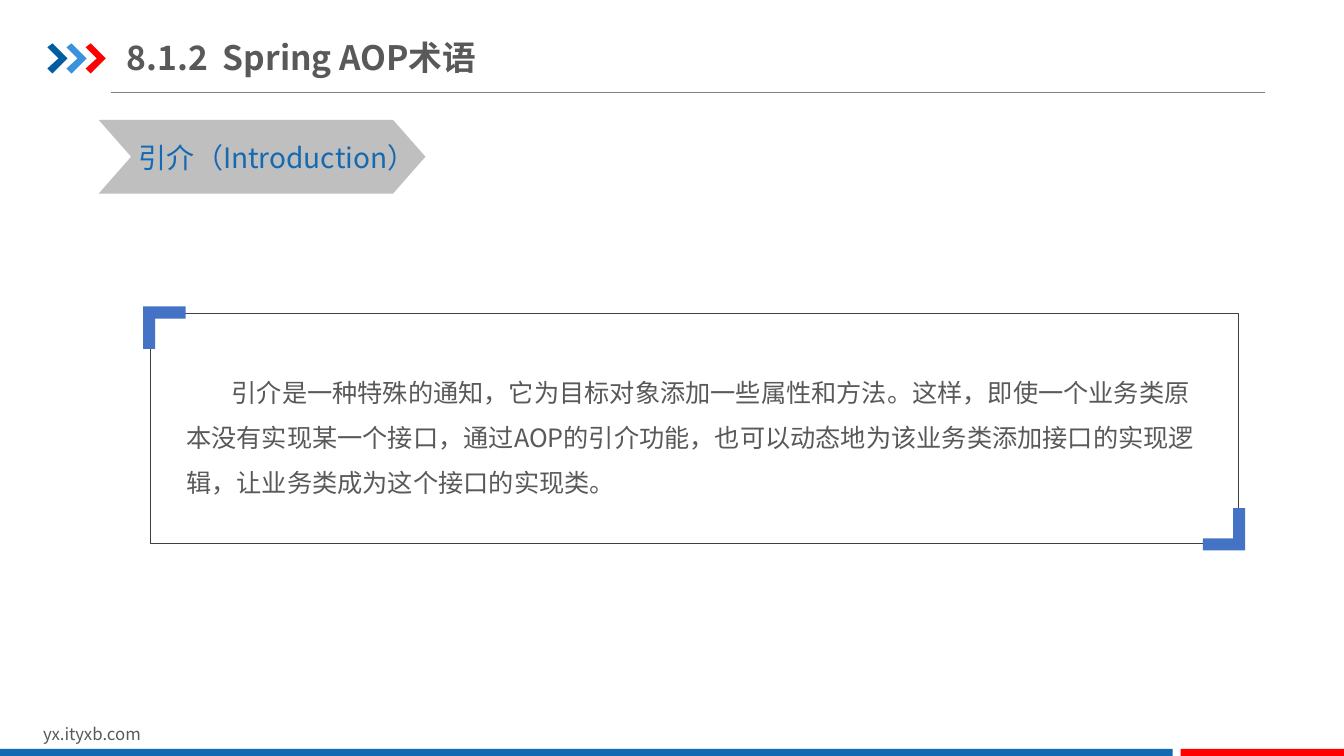
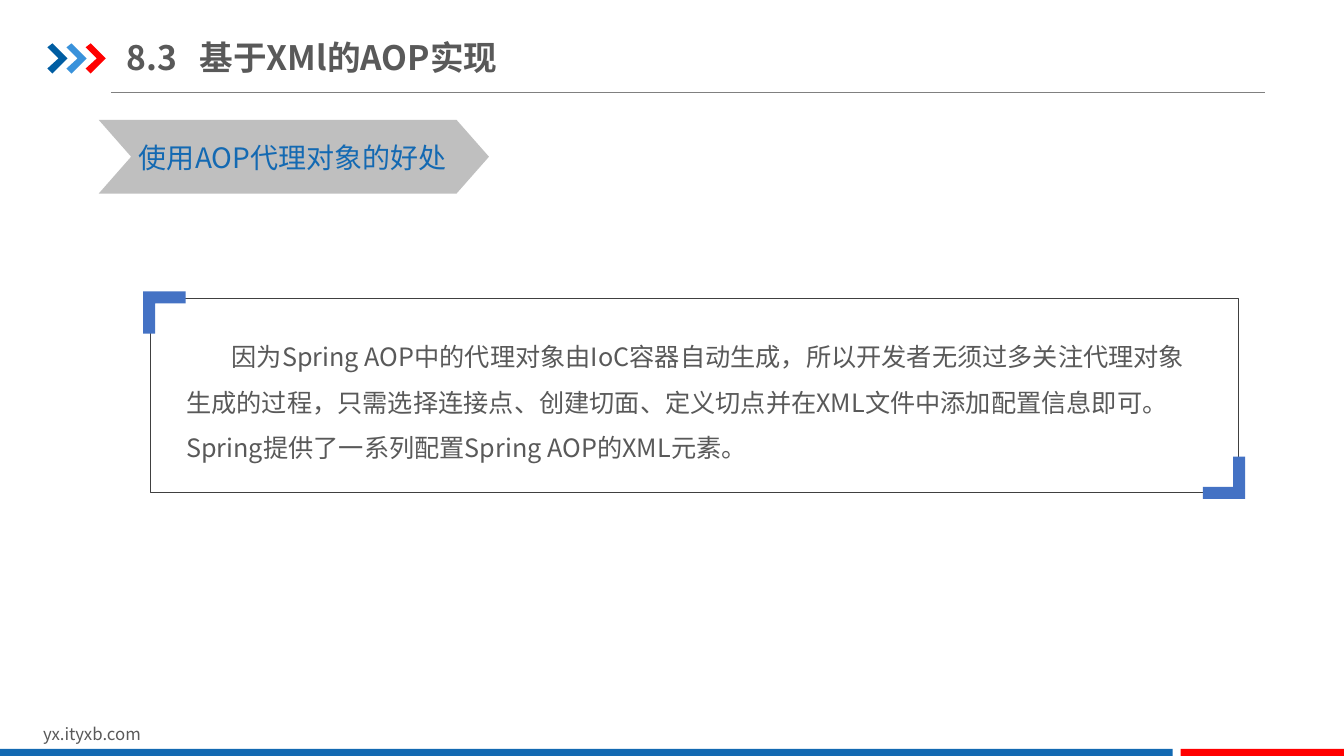
"""Build two Spring AOP lecture slides with a shared header and footer."""
from dataclasses import dataclass

from lxml.etree import SubElement
from pptx import Presentation
from pptx.dml.color import RGBColor
from pptx.enum.shapes import MSO_CONNECTOR, MSO_SHAPE
from pptx.enum.text import MSO_ANCHOR
from pptx.oxml.ns import qn
from pptx.shapes.autoshape import Shape
from pptx.slide import Slide
from pptx.text.text import TextFrame
from pptx.util import Inches, Pt


@dataclass(frozen=True)
class Theme:
    font: str = "Noto Sans CJK SC"
    text: str = "595959"
    blue: str = "1369B2"
    red: str = "FF0000"
    rule: str = "808080"
    tag: str = "BFBFBF"
    frame: str = "404040"
    bracket: str = "4472C4"
    arrows: tuple[str, ...] = ("005DA2", "3992DB", "FF0000")
    title_size: int = 24
    tag_size: int = 20
    body_size: int = 18
    footer_size: int = 12


@dataclass(frozen=True)
class Box:
    left: float
    top: float
    width: float
    height: float

    @property
    def right(self) -> float:
        return self.left + self.width

    @property
    def bottom(self) -> float:
        return self.top + self.height

    def emu(self) -> tuple[int, ...]:
        return tuple(Inches(v) for v in (self.left, self.top, self.width, self.height))


@dataclass(frozen=True)
class Para:
    text: str
    indent: float = 0


@dataclass(frozen=True)
class Topic:
    title: str
    title_tab: float
    tag: str
    tag_width: float
    frame: Box
    body: Box
    paras: tuple[Para, ...]


THEME = Theme()
FOOTER = "yx.ityxb.com"
ARROW = ((0, 0.04), (0.05, 0), (0.2, 0.15), (0.05, 0.3), (0, 0.25), (0.11, 0.15))
ARROW_LEFT, ARROW_TOP, ARROW_STEP = 0.47, 0.43, 0.19
BRACKET = ((0, 0), (0.42, 0), (0.42, 0.12), (0.12, 0.12), (0.12, 0.42), (0, 0.42))
BRACKET_OFFSET = 0.07
TOPICS = (
    Topic(
        "8.1.2\tSpring AOP术语", 0.95, "引介（Introduction）", 3.24,
        Box(1.49, 3.11, 10.79, 2.28), Box(1.75, 3.54, 10.3, 1.5),
        (Para("引介是一种特殊的通知，它为目标对象添加一些属性和方法。这样，即使一个业务类原本没有实现某一个接口，"
              "通过AOP的引介功能，也可以动态地为该业务类添加接口的实现逻辑，让业务类成为这个接口的实现类。", 0.45),),
    ),
    Topic(
        "8.3\t基于XMl的AOP实现", 0.72, "使用AOP代理对象的好处", 3.87,
        Box(1.49, 2.96, 10.79, 1.92), Box(1.75, 3.19, 10.3, 1.5),
        (Para("因为Spring AOP中的代理对象由IoC容器自动生成，所以开发者无须过多关注代理对象生成的过程，"
              "只需选择连接点、创建切面、定义切点并在XML文件中添加配置信息即可。", 0.45),
         Para("Spring提供了一系列配置Spring AOP的XML元素。")),
    ),
)


def rgb(color: str) -> RGBColor:
    return RGBColor.from_string(color)


def paint(sp: Shape, color: str) -> None:
    sp.shadow.inherit = False
    sp.fill.solid()
    sp.fill.fore_color.rgb = rgb(color)
    sp.line.fill.background()


def add_preset(s: Slide, kind: MSO_SHAPE, box: Box, color: str) -> Shape:
    sp = s.shapes.add_shape(kind, *box.emu())
    paint(sp, color)
    return sp


def add_outline(s: Slide, points: tuple, left: float, top: float, color: str, sign: int = 1) -> None:
    pts = [(Inches(left + sign * x), Inches(top + sign * y)) for x, y in points]
    builder = s.shapes.build_freeform(*pts[0])
    builder.add_line_segments(pts[1:], close=True)
    paint(builder.convert_to_shape(), color)


def style(tf: TextFrame, size: int, color: str = THEME.text, bold: bool = False) -> None:
    for p in tf.paragraphs:
        for r in p.runs:
            r.font.size = Pt(size)
            r.font.bold = bold
            r.font.color.rgb = rgb(color)
            r.font.name = THEME.font
            SubElement(r.font._element, qn("a:ea"), typeface=THEME.font)


def add_text(s: Slide, box: Box, text: str) -> TextFrame:
    tf = s.shapes.add_textbox(*box.emu()).text_frame
    tf.word_wrap = True
    tf.text = text
    return tf


def add_header_and_footer(s: Slide) -> None:
    rule = s.shapes.add_connector(
        MSO_CONNECTOR.STRAIGHT, Inches(1.1), Inches(0.92), Inches(12.55), Inches(0.92))
    rule.line.color.rgb = rgb(THEME.rule)
    rule.line.width = Pt(0.5)
    SubElement(rule._element.spPr, qn("a:effectLst"))
    for i, color in enumerate(THEME.arrows):
        add_outline(s, ARROW, ARROW_LEFT + i * ARROW_STEP, ARROW_TOP, color)
    style(add_text(s, Box(0.33, 7.13, 3.18, 0.3), FOOTER), THEME.footer_size)
    add_preset(s, MSO_SHAPE.RECTANGLE, Box(0, 7.43, 11.63, 0.09), THEME.blue)
    add_preset(s, MSO_SHAPE.RECTANGLE, Box(11.71, 7.43, 1.63, 0.09), THEME.red)


def add_title(s: Slide, text: str, tab: float) -> None:
    tf = add_text(s, Box(1.26, 0.29, 6, 0.55), text)
    tf.margin_left = tf.margin_right = 0
    tf.margin_top = tf.margin_bottom = Inches(0.07)
    tf.vertical_anchor = MSO_ANCHOR.MIDDLE
    tabs = SubElement(tf.paragraphs[0]._p.get_or_add_pPr(), qn("a:tabLst"))
    SubElement(tabs, qn("a:tab"), pos=str(Inches(tab)), algn="l")
    style(tf, THEME.title_size, bold=True)


def add_tag(s: Slide, text: str, width: float) -> None:
    sp = add_preset(s, MSO_SHAPE.CHEVRON, Box(0.98, 1.19, width, 0.73), THEME.tag)
    sp.adjustments[0] = 0.44
    tf = add_text(s, Box(1.28, 1.34, 3.6, 0.44), text)
    style(tf, THEME.tag_size, THEME.blue)


def add_body(s: Slide, box: Box, paras: tuple[Para, ...]) -> None:
    tf = add_text(s, box, "\n".join(para.text for para in paras))
    for p, para in zip(tf.paragraphs, paras):
        p.line_spacing = 1.5
        p._p.get_or_add_pPr().set("indent", str(Inches(para.indent)))
    style(tf, THEME.body_size)


def add_frame(s: Slide, box: Box) -> None:
    sp = s.shapes.add_shape(MSO_SHAPE.RECTANGLE, *box.emu())
    sp.shadow.inherit = False
    sp.fill.background()
    sp.line.color.rgb = rgb(THEME.frame)
    sp.line.width = Pt(0.25)
    for left, top, sign in ((box.left, box.top, 1), (box.right, box.bottom, -1)):
        shift = sign * BRACKET_OFFSET
        add_outline(s, BRACKET, left - shift, top - shift, THEME.bracket, sign)


def add_topic(s: Slide, topic: Topic) -> None:
    add_header_and_footer(s)
    add_tag(s, topic.tag, topic.tag_width)
    add_title(s, topic.title, topic.title_tab)
    add_body(s, topic.body, topic.paras)
    add_frame(s, topic.frame)


def main() -> None:
    prs = Presentation()
    prs.slide_width, prs.slide_height = Inches(13.33), Inches(7.5)
    for topic in TOPICS:
        add_topic(prs.slides.add_slide(prs.slide_layouts[6]), topic)
    prs.save("out.pptx")


if __name__ == "__main__":
    main()
